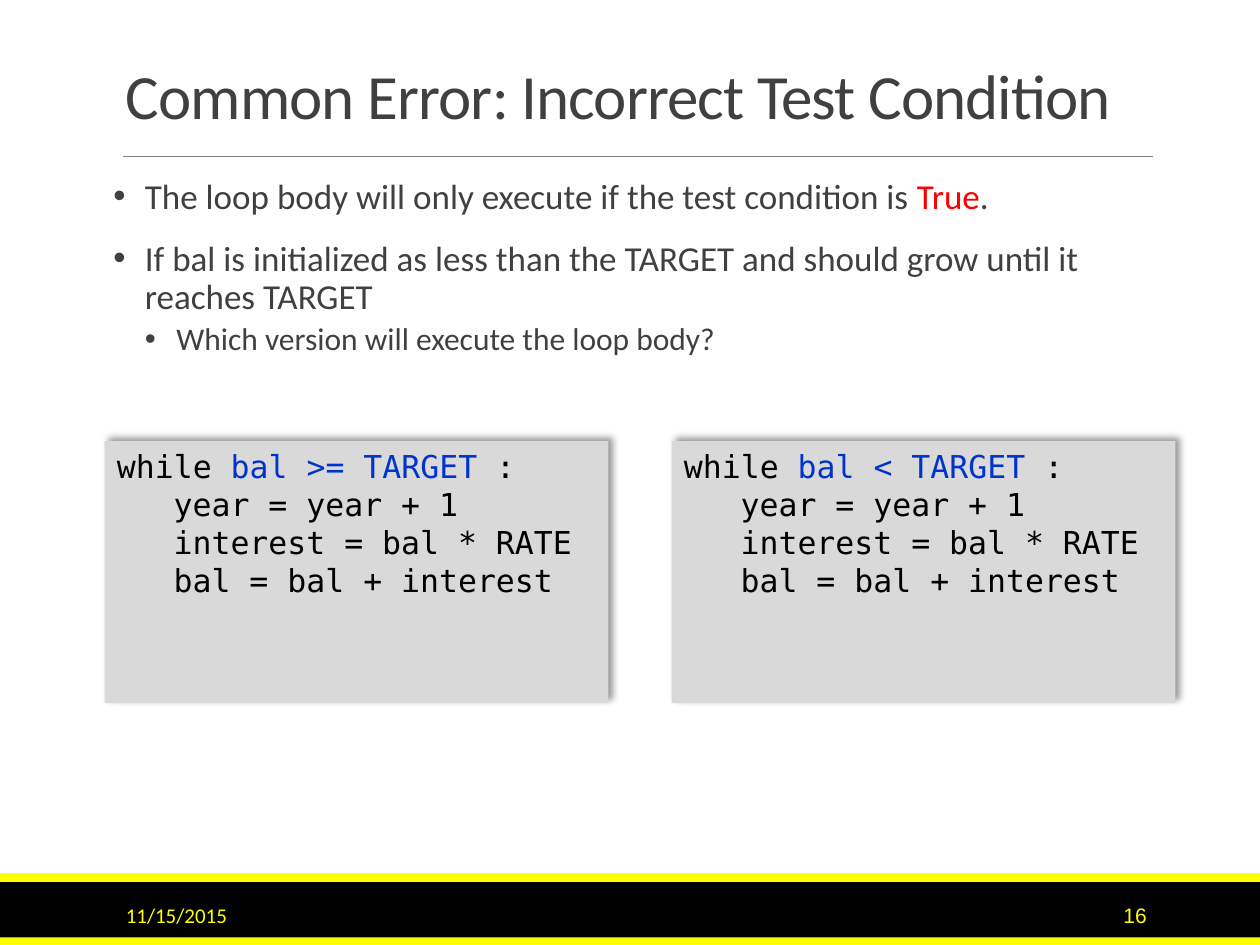
import pptx
import pptx.util
import pptx.dml.color
import pptx.enum.shapes
import pptx.enum.text
import pptx.oxml
import pptx.oxml.ns
from pptx.util import Inches

COLORS = {
    "black": "000000", "yellow": "FFFF00", "rule": "808080", "text": "404040",
    "red": "FF0000", "code_box": "D9D9D9", "blue": "0033CC",
}
ANCHOR = pptx.enum.text.MSO_ANCHOR
ALIGN = pptx.enum.text.PP_ALIGN
DRAWING_NS = pptx.oxml.ns.nsdecls("a")
SHADOW = (
    f'<a:effectLst {DRAWING_NS}><a:outerShdw blurRad="50800" dist="38100" dir="18900000" '
    'algn="bl" rotWithShape="0"><a:srgbClr val="000000"><a:alpha val="40000"/>'
    '</a:srgbClr></a:outerShdw></a:effectLst>'
)


def rgb(name):
    return pptx.dml.color.RGBColor.from_string(COLORS[name])


class SlideBuilder:
    def __init__(self, slide, font="Calibri", code_font="DejaVu Sans Mono"):
        self.slide = slide
        self.font = font
        self.code_font = code_font

    def rectangle(self, left, top, width, height, color):
        box = self.slide.shapes.add_shape(
            pptx.enum.shapes.MSO_SHAPE.RECTANGLE,
            Inches(left), Inches(top), Inches(width), Inches(height))
        box.shadow.inherit = False
        box.fill.solid()
        box.fill.fore_color.rgb = rgb(color)
        box.line.fill.background()
        return box

    def rule(self, left, right, top):
        line = self.slide.shapes.add_connector(
            pptx.enum.shapes.MSO_CONNECTOR.STRAIGHT,
            Inches(left), Inches(top), Inches(right), Inches(top))
        line.line.color.rgb = rgb("rule")
        line.line.width = pptx.util.Pt(0.5)
        line._element.spPr.append(pptx.oxml.parse_xml(f"<a:effectLst {DRAWING_NS}/>"))

    def text_box(self, left, top, width, height, anchor):
        box = self.slide.shapes.add_textbox(
            Inches(left), Inches(top), Inches(width), Inches(height))
        box.text_frame.word_wrap = True
        box.text_frame.vertical_anchor = anchor
        return box.text_frame

    def runs(self, para, parts, size, font=None):
        """Add one run for each (text, color) pair."""
        for text, color in parts:
            span = para.add_run()
            span.text = text
            span.font.size = pptx.util.Pt(size)
            span.font.name = font or self.font
            span.font.color.rgb = rgb(color)

    def indent(self, para, margin, first):
        properties = para._p.get_or_add_pPr()
        properties.set("marL", str(Inches(margin)))
        properties.set("indent", str(Inches(first)))
        return properties

    def title(self, text):
        frame = self.text_box(0.9, 0.31, 8.25, 0.79, ANCHOR.BOTTOM)
        para = frame.paragraphs[0]
        para.line_spacing = 0.85
        self.runs(para, [(text, "text")], 36)
        para.runs[0].font._element.set("spc", "-50")

    def bullets(self, items):
        """Each item is a level and its (text, color) parts."""
        frame = self.text_box(0.9, 1.37, 8.25, 2.13, ANCHOR.TOP)
        frame.margin_left = frame.margin_right = 0
        for index, (level, parts) in enumerate(items):
            para = frame.add_paragraph() if index else frame.paragraphs[0]
            para.level = level
            para.line_spacing = 0.9
            before, after, size = (2, 4, 18) if level else (12, 2, 20)
            para.space_before = pptx.util.Pt(before)
            para.space_after = pptx.util.Pt(after)
            properties = self.indent(para, 0.25 * (level + 1), -0.25)
            properties.append(pptx.oxml.parse_xml(f'<a:buFont {DRAWING_NS} typeface="Arial"/>'))
            properties.append(pptx.oxml.parse_xml(f'<a:buChar {DRAWING_NS} char="•"/>'))
            self.runs(para, parts, size)

    def code(self, left, condition, body):
        box = self.rectangle(left, 3.5, 4, 2.08, "code_box")
        properties = box._element.spPr
        properties.remove(properties.find(pptx.oxml.ns.qn("a:effectLst")))
        properties.append(pptx.oxml.parse_xml(SHADOW))
        frame = box.text_frame
        frame.word_wrap = True
        frame.vertical_anchor = ANCHOR.TOP
        head = [("while ", "black"), (condition + " ", "blue"), (":", "black")]
        for index, parts in enumerate([head] + [[(line, "black")] for line in body]):
            para = frame.add_paragraph() if index else frame.paragraphs[0]
            para.alignment = ALIGN.LEFT
            self.indent(para, 0.45, 0 if index else -0.45)
            self.runs(para, parts, 18, self.code_font)

    def footer(self, left, width, text, align, font=None):
        frame = self.text_box(left, 7.06, width, 0.4, ANCHOR.MIDDLE)
        frame.paragraphs[0].alignment = align
        self.runs(frame.paragraphs[0], [(text, "yellow")], 12, font)


def main():
    deck = pptx.Presentation()
    deck.slide_width, deck.slide_height = Inches(10), Inches(7.5)
    page = SlideBuilder(deck.slides.add_slide(deck.slide_layouts[6]))

    page.rectangle(0, 7, 10, 0.5, "black")
    page.rectangle(0, 6.93, 10, 0.07, "yellow")
    page.rule(0.98, 9.15, 1.24)
    page.rectangle(0, 7.44, 10, 0.07, "yellow")

    page.title("Common Error: Incorrect Test Condition")
    page.bullets([
        (0, [("The loop body will only execute if the test condition is ", "text"),
             ("True", "red"), (".", "text")]),
        (0, [("If bal is initialized as less than the TARGET and should grow "
              "until it reaches TARGET", "text")]),
        (1, [("Which version will execute the loop body?", "text")]),
    ])

    loop_body = ["year = year + 1", "interest = bal * RATE", "bal = bal + interest"]
    for left, condition in [(5.33, "bal < TARGET"), (0.83, "bal >= TARGET")]:
        page.code(left, condition, loop_body)

    page.footer(8.12, 1.08, "16", ALIGN.RIGHT, "Arial")
    page.footer(0.9, 2.03, "11/15/2015", ALIGN.LEFT)
    deck.save("out.pptx")


if __name__ == "__main__":
    main()
